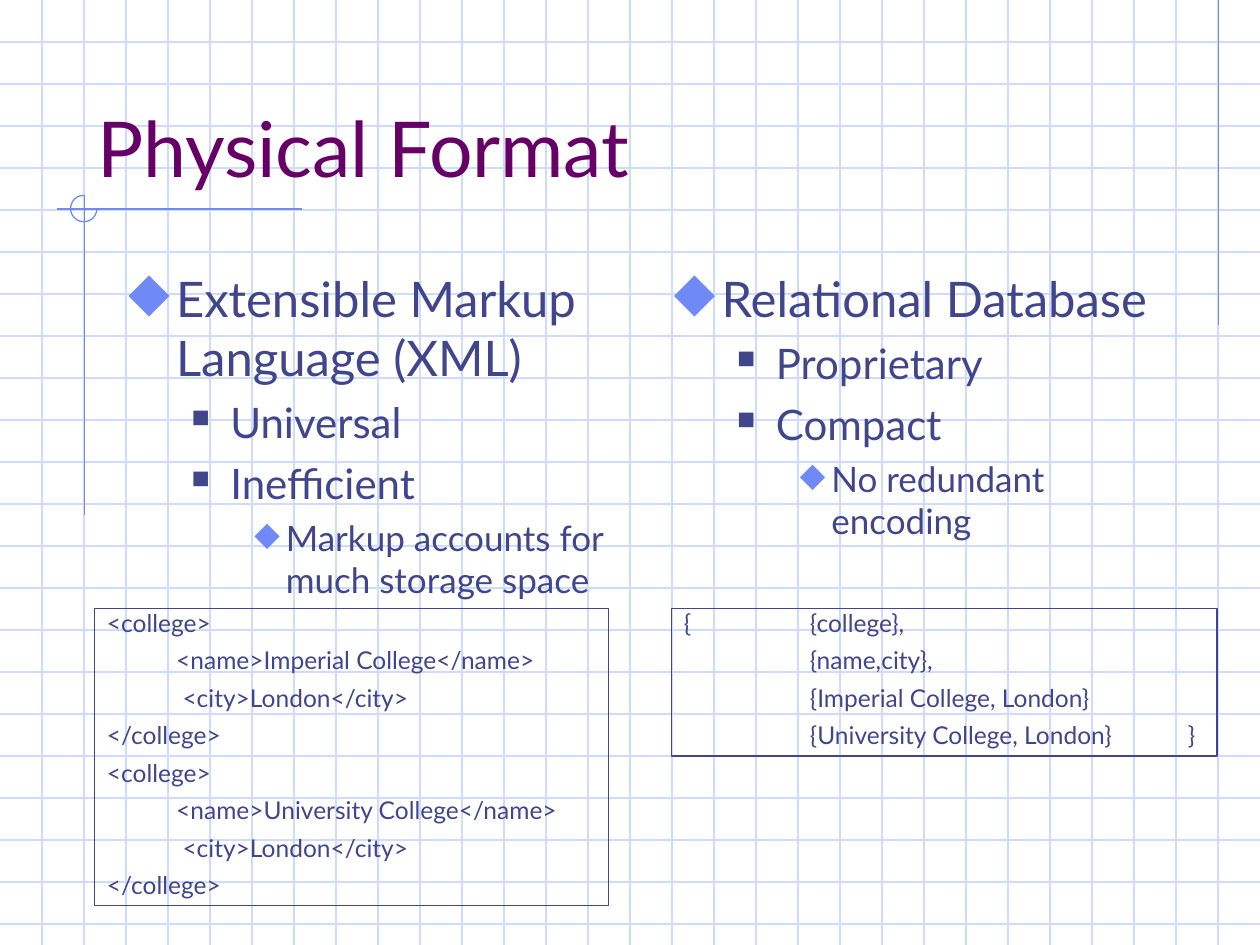
from lxml.etree import SubElement
from pptx import Presentation
from pptx.dml.color import RGBColor
from pptx.enum.shapes import MSO_CONNECTOR, MSO_SHAPE
from pptx.enum.text import MSO_ANCHOR, MSO_AUTO_SIZE, PP_ALIGN
from pptx.oxml.ns import qn
from pptx.util import Inches, Pt

COLORS = {"grid": "CFDBFD", "accent": "6F89F7", "text": "40458C", "title": "660066"}
FONT = "Lato"
WIDTH, HEIGHT = 10, 7.5

# Outline levels: size, space before, left indent, hanging, bullet, colour, bullet %
LEVELS = [
    (28, 7, 0.38, 0.38, "◆", "accent", 110),
    (24, 6, 0.81, 0.31, "■", "text", 60),
    (20, 5, 1.25, 0.25, "◆", "accent", 95),
]

XML_POINTS = [
    (0, "Extensible Markup Language (XML)"),
    (1, "Universal"),
    (1, "Inefficient"),
    (2, "Markup accounts for much storage space"),
]
DATABASE_POINTS = [
    (0, "Relational Database"),
    (1, "Proprietary"),
    (1, "Compact"),
    (2, "No redundant encoding"),
]


def rgb(name):
    return RGBColor.from_string(COLORS[name])


def add_line(slide, x1, y1, x2, y2, color):
    line = slide.shapes.add_connector(
        MSO_CONNECTOR.STRAIGHT, Inches(x1), Inches(y1), Inches(x2), Inches(y2))
    line.line.color.rgb = rgb(color)
    line.line.width = Pt(0.75)
    SubElement(line._element.spPr, qn("a:effectLst"))


def add_outline(slide, preset, left, top, width, height, color):
    shape = slide.shapes.add_shape(
        preset, Inches(left), Inches(top), Inches(width), Inches(height))
    shape.shadow.inherit = False
    shape.fill.background()
    shape.line.color.rgb = rgb(color)
    shape.line.width = Pt(0.75)
    return shape


def add_text(paragraph, text, size, color):
    paragraph.alignment = PP_ALIGN.LEFT
    run = paragraph.add_run()
    run.text = text
    run.font.name = FONT
    run.font.size = Pt(size)
    run.font.color.rgb = rgb(color)


def next_paragraph(frame, index):
    return frame.add_paragraph() if index else frame.paragraphs[0]


def set_indent(paragraph, left, hanging=0):
    props = paragraph._p.get_or_add_pPr()
    props.set("marL", str(Inches(left)))
    props.set("indent", str(-Inches(hanging)))
    return props


def set_bullet(props, char, color, percent):
    SubElement(SubElement(props, qn("a:buClr")), qn("a:srgbClr"), val=COLORS[color])
    SubElement(props, qn("a:buSzPct"), val=str(percent * 1000))
    SubElement(props, qn("a:buChar"), char=char)


def set_tabs(props, stops):
    # One-inch default distance, in place of the theme's half inch
    props.set("defTabSz", str(Inches(1)))
    tabs = SubElement(props, qn("a:tabLst"))
    for stop in stops:
        SubElement(tabs, qn("a:tab"), pos=str(Inches(stop)), algn="l")


def add_grid(slide, step=1 / 3):
    for i in range(1, round(HEIGHT / step) + 1):
        add_line(slide, 0, i * step, WIDTH, i * step, "grid")
    for i in range(1, round(WIDTH / step)):
        add_line(slide, i * step, 0, i * step, HEIGHT, "grid")


def add_ornaments(slide):
    add_line(slide, 9.67, 0, 9.67, 2.58, "accent")
    add_line(slide, 2.4, 1.66, 0.45, 1.66, "accent")
    add_line(slide, 0.67, 1.55, 0.67, 4.09, "accent")
    # Three-quarter circle, from the right round to the top
    ring = add_outline(slide, MSO_SHAPE.ARC, 0.56, 1.55, 0.21, 0.21, "accent")
    ring.adjustments[0] = 0
    ring.adjustments[1] = 162


def format_title(slide, text):
    title = slide.shapes.title
    title.left, title.top = Inches(0.67), Inches(0.33)
    title.width, title.height = Inches(8.5), Inches(1.25)
    frame = title.text_frame
    frame.vertical_anchor = MSO_ANCHOR.BOTTOM
    frame.auto_size = MSO_AUTO_SIZE.NONE
    add_text(frame.paragraphs[0], text, 44, "title")
    # Bring the title in front of the grid
    slide.shapes.element.append(title.element)


def add_outline_list(slide, left, points):
    box = slide.shapes.add_textbox(Inches(left), Inches(2.08), Inches(4.17), Inches(4.5))
    frame = box.text_frame
    frame.word_wrap = True
    for i, (level, text) in enumerate(points):
        size, before, indent, hanging, char, color, percent = LEVELS[level]
        paragraph = next_paragraph(frame, i)
        paragraph.level = level
        paragraph.space_before = Pt(before)
        add_text(paragraph, text, size, "text")
        set_bullet(set_indent(paragraph, indent, hanging), char, color, percent)


def add_code_box(slide, left, width, height, lines):
    box = add_outline(slide, MSO_SHAPE.RECTANGLE, left, 4.83, width, height, "text")
    frame = box.text_frame
    frame.word_wrap = True
    frame.auto_size = MSO_AUTO_SIZE.SHAPE_TO_FIT_TEXT
    frame.vertical_anchor = MSO_ANCHOR.TOP
    for i, (indent, text) in enumerate(lines):
        paragraph = next_paragraph(frame, i)
        paragraph.line_spacing = 0.75
        paragraph.space_before = Pt(8.8)
        add_text(paragraph, text, 14, "text")
        set_tabs(set_indent(paragraph, indent), range(1, 8))


def college_xml(name, city):
    return [
        (0, "<college>"),
        (0.55, f"<name>{name}</name>"),
        (0.6, f"<city>{city}</city>"),
        (0, "</college>"),
    ]


def main():
    prs = Presentation()
    prs.slide_width, prs.slide_height = Inches(WIDTH), Inches(HEIGHT)
    slide = prs.slides.add_slide(prs.slide_layouts[5])

    # Backdrop
    add_grid(slide)
    add_ornaments(slide)

    # Title and the two compared formats
    format_title(slide, "Physical Format")
    add_outline_list(slide, 0.92, XML_POINTS)
    add_outline_list(slide, 5.25, DATABASE_POINTS)

    # Sample data in each format
    colleges = [("Imperial College", "London"), ("University College", "London")]
    xml_lines = [line for college in colleges for line in college_xml(*college)]
    add_code_box(slide, 0.75, 4.08, 2.36, xml_lines)
    records = [f"\t{{{name}, {city}}}" for name, city in colleges]
    table_lines = ["{\t{college},", "\t{name,city},", records[0], records[1] + "\t}"]
    add_code_box(slide, 5.33, 4.33, 1.17, [(0, line) for line in table_lines])

    prs.save("out.pptx")


if __name__ == "__main__":
    main()
